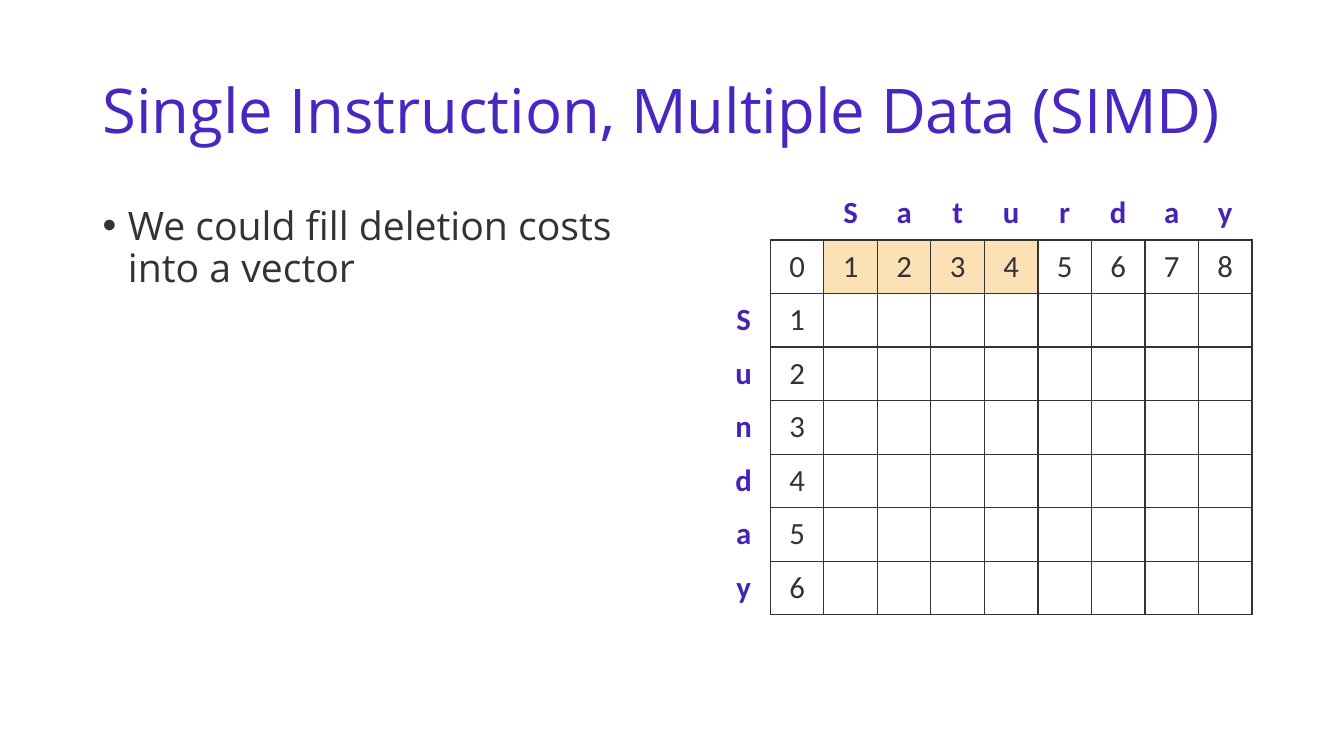
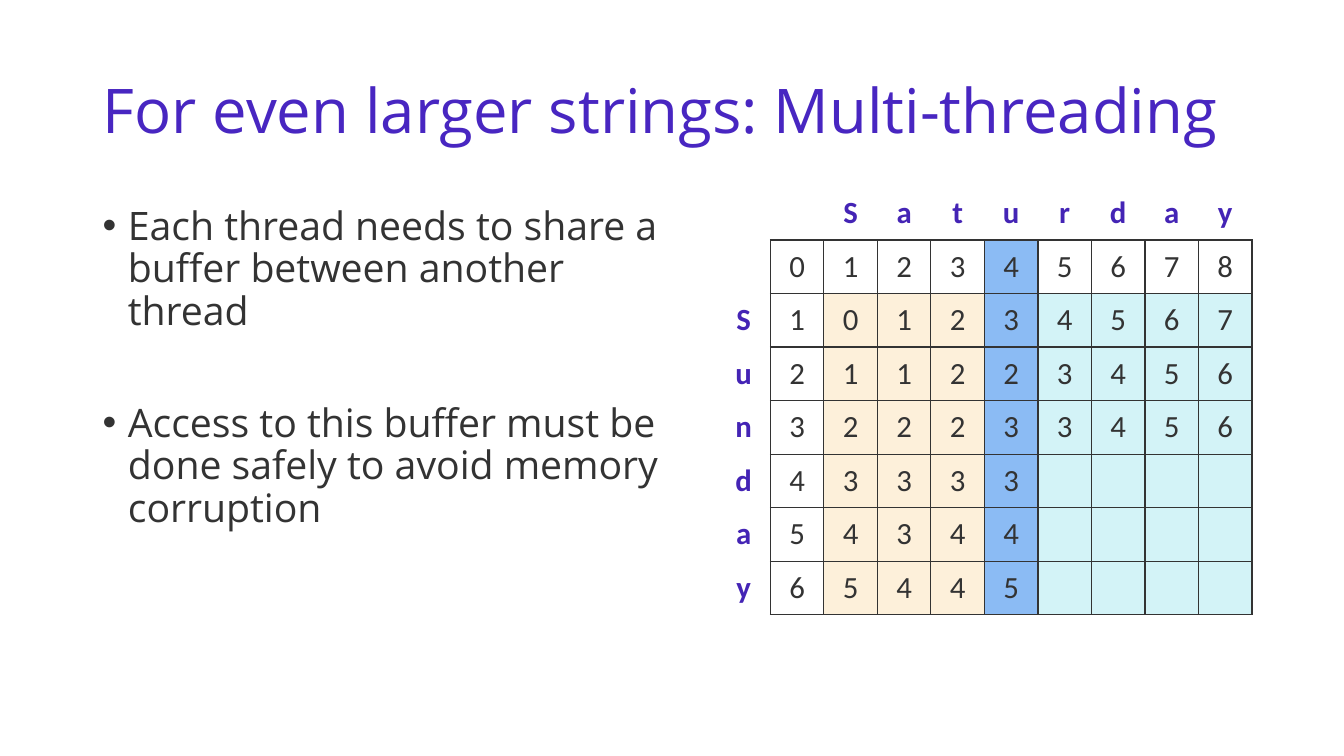
from dataclasses import dataclass

from lxml import etree
from pptx import Presentation
from pptx.dml.color import RGBColor
from pptx.enum.text import MSO_ANCHOR, PP_ALIGN
from pptx.oxml.ns import qn
from pptx.util import Inches, Pt

MIDDLE, TOP = MSO_ANCHOR.MIDDLE, MSO_ANCHOR.TOP
LEFT, CENTER = PP_ALIGN.LEFT, PP_ALIGN.CENTER


@dataclass(frozen=True)
class Theme:
    title: str = "4826C1"
    letter: str = "4424B5"
    ink: str = "333333"
    paper: str = "FFFFFF"
    vector: str = "FCE1B6"
    first_thread: str = "FDF0DA"
    second_thread: str = "D3F3F7"
    buffer: str = "8BBBF4"
    font: str = "Open Sans"
    table_font: str = "Calibri"
    title_size: int = 44
    body_size: int = 28
    cell_size: int = 22
    border: int = 1


T = Theme()


def write(tf, paragraphs, *, size, color, font=T.font, bold=False, align=LEFT,
          anchor=TOP, spacing=None, gap=0, bullet=False):
    """Fill a text frame with one paragraph per string."""
    tf.word_wrap = True
    tf.vertical_anchor = anchor
    for i, text in enumerate(paragraphs):
        p = tf.add_paragraph() if i else tf.paragraphs[0]
        if bullet:
            pPr = p._p.get_or_add_pPr()
            pPr.set("marL", str(Inches(0.25)))
            pPr.set("indent", str(Inches(-0.25)))
            etree.SubElement(pPr, qn("a:buFont"), typeface="Arial")
            etree.SubElement(pPr, qn("a:buChar"), char="•")
        p.alignment = align
        p.line_spacing = spacing
        if i:
            p.space_before = Pt(gap)
        r = p.add_run()
        r.text = text
        r.font.name, r.font.size, r.font.bold = font, Pt(size), bold
        r.font.color.rgb = RGBColor.from_string(color)


def set_borders(cell, sides):
    """Draw the listed sides (from L, R, T, B) and clear the others."""
    tcPr = cell._tc.get_or_add_tcPr()
    for i, side in enumerate("LRTB"):
        ln = etree.Element(qn(f"a:ln{side}"), w=str(Pt(T.border)))
        if side in sides:
            fill = etree.SubElement(ln, qn("a:solidFill"))
            etree.SubElement(fill, qn("a:srgbClr"), val=T.ink)
        else:
            etree.SubElement(ln, qn("a:noFill"))
        tcPr.insert(i, ln)


# Content: matrix rows are strings of digits; shades are (rows, columns, colour)
ACROSS, DOWN = "Saturday", "Sunday"
SLIDES = [
    dict(
        title="Single Instruction, Multiple Data (SIMD)",
        bullets=["We could fill deletion costs into a vector"],
        body_width=5.31,
        matrix=["012345678", "1", "2", "3", "4", "5", "6"],
        shades=[(range(0, 1), range(1, 5), T.vector)],
    ),
    dict(
        title="For even larger strings: Multi-threading",
        bullets=[
            "Each thread needs to share a buffer between another thread",
            "Access to this buffer must be done safely to avoid memory corruption",
        ],
        body_width=5.75,
        matrix=["012345678", "101234567", "211223456", "322233456",
                "43333", "54344", "65445"],
        shades=[
            (range(1, 7), range(1, 4), T.first_thread),
            (range(0, 7), range(4, 5), T.buffer),
            (range(1, 7), range(5, 9), T.second_thread),
        ],
    ),
]

prs = Presentation()
prs.slide_width, prs.slide_height = Inches(13.33), Inches(7.5)

for content in SLIDES:
    s = prs.slides.add_slide(prs.slide_layouts[6])

    # Title
    sp = s.shapes.add_textbox(Inches(0.92), Inches(0.4), Inches(11.5), Inches(1.45))
    write(sp.text_frame, [content["title"]], size=T.title_size, color=T.title,
          anchor=MIDDLE, spacing=0.9)

    # Bullets
    sp = s.shapes.add_textbox(Inches(0.92), Inches(2), Inches(content["body_width"]),
                              Inches(4.76))
    write(sp.text_frame, content["bullets"], size=T.body_size, color=T.ink,
          spacing=0.9, gap=50, bullet=True)

    # Edit distance table: one row and one column of letters around the matrix
    n_rows, n_cols = len(DOWN) + 2, len(ACROSS) + 2
    width, height = Inches(5.31), Inches(4.25)
    table = s.shapes.add_table(n_rows, n_cols, Inches(7.11), Inches(1.85),
                               width, height).table
    table.first_row = table.horz_banding = False
    for col in table.columns:
        col.width = width // n_cols
    for row in table.rows:
        row.height = height // n_rows

    letters_across = "  " + ACROSS
    letters_down = "  " + DOWN
    for r in range(n_rows):
        for c in range(n_cols):
            cell = table.cell(r, c)
            in_matrix = r > 0 and c > 0
            if in_matrix:
                text = content["matrix"][r - 1][c - 1:c]
                sides = "LRTB"
            elif r == 0:
                text = letters_across[c].strip()
                sides = "B" if c else ""
            else:
                text = letters_down[r].strip()
                sides = "R"

            color = T.paper
            for rows, cols, shade in content["shades"]:
                if r - 1 in rows and c - 1 in cols:
                    color = shade
            cell.fill.solid()
            cell.fill.fore_color.rgb = RGBColor.from_string(color)
            set_borders(cell, sides)

            cell.margin_left = cell.margin_right = Inches(0.12)
            cell.margin_top = cell.margin_bottom = Inches(0.06)
            cell.vertical_anchor = MIDDLE
            if text:
                write(cell.text_frame, [text], size=T.cell_size, font=T.table_font,
                      color=T.ink if in_matrix else T.letter, bold=not in_matrix,
                      align=CENTER, anchor=MIDDLE)

prs.save("out.pptx")
